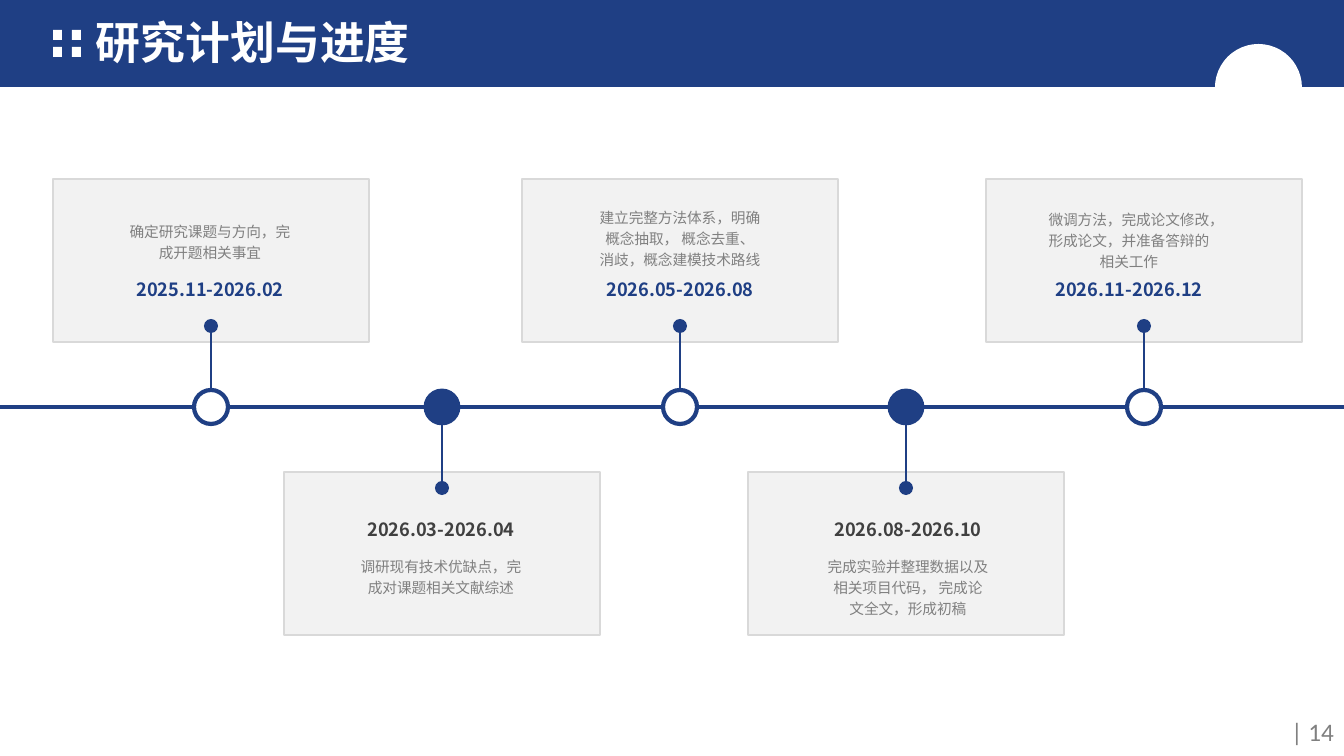
"""Build the research plan and schedule timeline slide."""
from dataclasses import dataclass
from itertools import product

from lxml.etree import SubElement
from pptx import Presentation
from pptx.dml.color import RGBColor
from pptx.enum.shapes import MSO_CONNECTOR, MSO_SHAPE
from pptx.enum.text import MSO_ANCHOR, MSO_AUTO_SIZE, PP_ALIGN
from pptx.oxml.ns import qn
from pptx.shapes.autoshape import Shape
from pptx.shapes.connector import Connector
from pptx.slide import Slide
from pptx.text.text import TextFrame
from pptx.util import Emu, Pt

NAVY = RGBColor(0x1F, 0x3F, 0x84)
WHITE = RGBColor(0xFF, 0xFF, 0xFF)
CARD_FILL = RGBColor(0xF2, 0xF2, 0xF2)
CARD_EDGE = RGBColor(0xD9, 0xD9, 0xD9)
DARK_GREY = RGBColor(0x40, 0x40, 0x40)
MID_GREY = RGBColor(0x80, 0x80, 0x80)

CJK_FONT = "Noto Sans CJK SC"
EMU_PER_PX = 914400 / 100.8
SLIDE_WIDTH, SLIDE_HEIGHT = 1344, 756
CARD_WIDTH, CARD_HEIGHT = 316, 163
TEXT_WIDTH, DATE_HEIGHT = 182, 37
AXIS_Y = 407
NODE_RADIUS = 17
STEM_LENGTH = 64


@dataclass(frozen=True)
class Stage:
    """One period of the plan, placed above or below the axis."""
    dates: str
    task: str
    card_left: int
    text_left: int
    task_top: int
    task_height: int
    above: bool

    @property
    def center(self) -> int:
        """Return the horizontal middle of the card."""
        return self.card_left + CARD_WIDTH // 2


STAGES = [
    Stage("2025.11-2026.02", "确定研究课题与方向，完成开题相关事宜", 53, 119, 214, 52, True),
    Stage("2026.03-2026.04", "调研现有技术优缺点，完成对课题相关文献综述", 284, 350, 549, 52, False),
    Stage("2026.05-2026.08", "建立完整方法体系，明确概念抽取， 概念去重、消歧，概念建模技术路线",
          522, 589, 200, 73, True),
    Stage("2026.08-2026.10", "完成实验并整理数据以及相关项目代码， 完成论文全文，形成初稿",
          748, 817, 549, 73, False),
    Stage("2026.11-2026.12", "微调方法，完成论文修改，形成论文，并准备答辩的相关工作",
          986, 1038, 202, 73, True),
]


def px(length: int) -> Emu:
    """Convert pixels to EMU."""
    return Emu(round(length * EMU_PER_PX))


def add_figure(slide: Slide, kind: MSO_SHAPE, left: int, top: int, width: int, height: int,
               fill: RGBColor, edge: RGBColor | None = None, edge_width: int = 1) -> Shape:
    """Add a flat preset shape."""
    figure = slide.shapes.add_shape(kind, px(left), px(top), px(width), px(height))
    figure.shadow.inherit = False
    figure.fill.solid()
    figure.fill.fore_color.rgb = fill
    if edge is None:
        figure.line.fill.background()
    else:
        figure.line.color.rgb = edge
        figure.line.width = Pt(edge_width)
    return figure


def add_line(slide: Slide, x1: int, y1: int, x2: int, y2: int, width: int) -> Connector:
    """Add a straight navy line without a shadow."""
    line = slide.shapes.add_connector(MSO_CONNECTOR.STRAIGHT, px(x1), px(y1), px(x2), px(y2))
    line.line.color.rgb = NAVY
    line.line.width = Pt(width)
    SubElement(line._element.spPr, qn("a:effectLst"))
    return line


def write(frame: TextFrame, text: str, size: float, color: RGBColor, align: PP_ALIGN,
          bold: bool = False, spacing: float = 1.0, font_name: str = CJK_FONT) -> None:
    """Fill a frame with one formatted paragraph."""
    frame.word_wrap = True
    paragraph = frame.paragraphs[0]
    paragraph.text = text
    paragraph.alignment = align
    paragraph.line_spacing = spacing
    font = paragraph.font
    font.size = Pt(size)
    font.bold = bold
    font.color.rgb = color
    font.name = font_name
    properties = paragraph._p.get_or_add_pPr().find(qn("a:defRPr"))
    SubElement(properties, qn("a:ea"), typeface=font_name)


def add_label(slide: Slide, left: int, top: int, height: int) -> TextFrame:
    """Add a text box of the common label width and return its frame."""
    return slide.shapes.add_textbox(px(left), px(top), px(TEXT_WIDTH), px(height)).text_frame


def add_header(slide: Slide) -> None:
    """Draw the banner and set the title on it."""
    add_figure(slide, MSO_SHAPE.RECTANGLE, 0, 0, SLIDE_WIDTH, 87, NAVY)
    add_figure(slide, MSO_SHAPE.OVAL, 1215, 44, 87, 87, WHITE)
    for top, left in product((30, 47), (53, 72)):
        add_figure(slide, MSO_SHAPE.RECTANGLE, left, top, 9, 10, WHITE)
    title = slide.shapes.title
    title.left, title.top, title.width, title.height = px(96), px(21), px(1110), px(48)
    frame = title.text_frame
    frame.margin_left = frame.margin_top = frame.margin_right = frame.margin_bottom = 0
    frame.vertical_anchor = MSO_ANCHOR.TOP
    frame.auto_size = MSO_AUTO_SIZE.SHAPE_TO_FIT_TEXT
    write(frame, "研究计划与进度", 32, WHITE, PP_ALIGN.LEFT, bold=True, spacing=0.9)
    slide.shapes._spTree.append(title._element)


def add_card(slide: Slide, stage: Stage) -> None:
    """Draw the card behind a stage."""
    top = 179 if stage.above else 472
    add_figure(slide, MSO_SHAPE.RECTANGLE, stage.card_left, top, CARD_WIDTH, CARD_HEIGHT,
               CARD_FILL, CARD_EDGE)


def add_stage(slide: Slide, stage: Stage) -> None:
    """Draw the stem, node and wording of a stage."""
    direction = -1 if stage.above else 1
    start = AXIS_Y + direction * NODE_RADIUS
    stem = add_line(slide, stage.center, start, stage.center, start + direction * STEM_LENGTH, 2)
    SubElement(stem.line._get_or_add_ln(), qn("a:tailEnd"), type="oval", w="lg", len="lg")
    add_figure(slide, MSO_SHAPE.OVAL, stage.center - NODE_RADIUS, AXIS_Y - NODE_RADIUS,
               2 * NODE_RADIUS, 2 * NODE_RADIUS, WHITE if stage.above else NAVY, NAVY,
               3 if stage.above else 2)

    dates = add_label(slide, stage.text_left, 268 if stage.above else 508, DATE_HEIGHT)
    dates.vertical_anchor = MSO_ANCHOR.BOTTOM
    write(dates, stage.dates, 13, NAVY if stage.above else DARK_GREY, PP_ALIGN.CENTER,
          bold=True, spacing=0.9)
    task = add_label(slide, stage.text_left, stage.task_top, stage.task_height)
    task.auto_size = MSO_AUTO_SIZE.SHAPE_TO_FIT_TEXT
    write(task, stage.task, 10.5, MID_GREY, PP_ALIGN.CENTER, spacing=1.2)


def add_page_number(slide: Slide) -> None:
    """Draw the page number strip."""
    strip = add_figure(slide, MSO_SHAPE.RECTANGLE, 41, 707, 1303, 49, WHITE, WHITE)
    strip.text_frame.vertical_anchor = MSO_ANCHOR.MIDDLE
    write(strip.text_frame, "| 14", 18, MID_GREY, PP_ALIGN.RIGHT, font_name="Calibri")


def main() -> None:
    """Create and save the presentation."""
    presentation = Presentation()
    presentation.slide_width, presentation.slide_height = px(SLIDE_WIDTH), px(SLIDE_HEIGHT)
    slide = presentation.slides.add_slide(presentation.slide_layouts[5])
    add_header(slide)
    for stage in STAGES:
        add_card(slide, stage)
    add_line(slide, 0, AXIS_Y, SLIDE_WIDTH, AXIS_Y, 3)
    for stage in STAGES:
        add_stage(slide, stage)
    add_page_number(slide)
    presentation.save("out.pptx")


if __name__ == "__main__":
    main()
